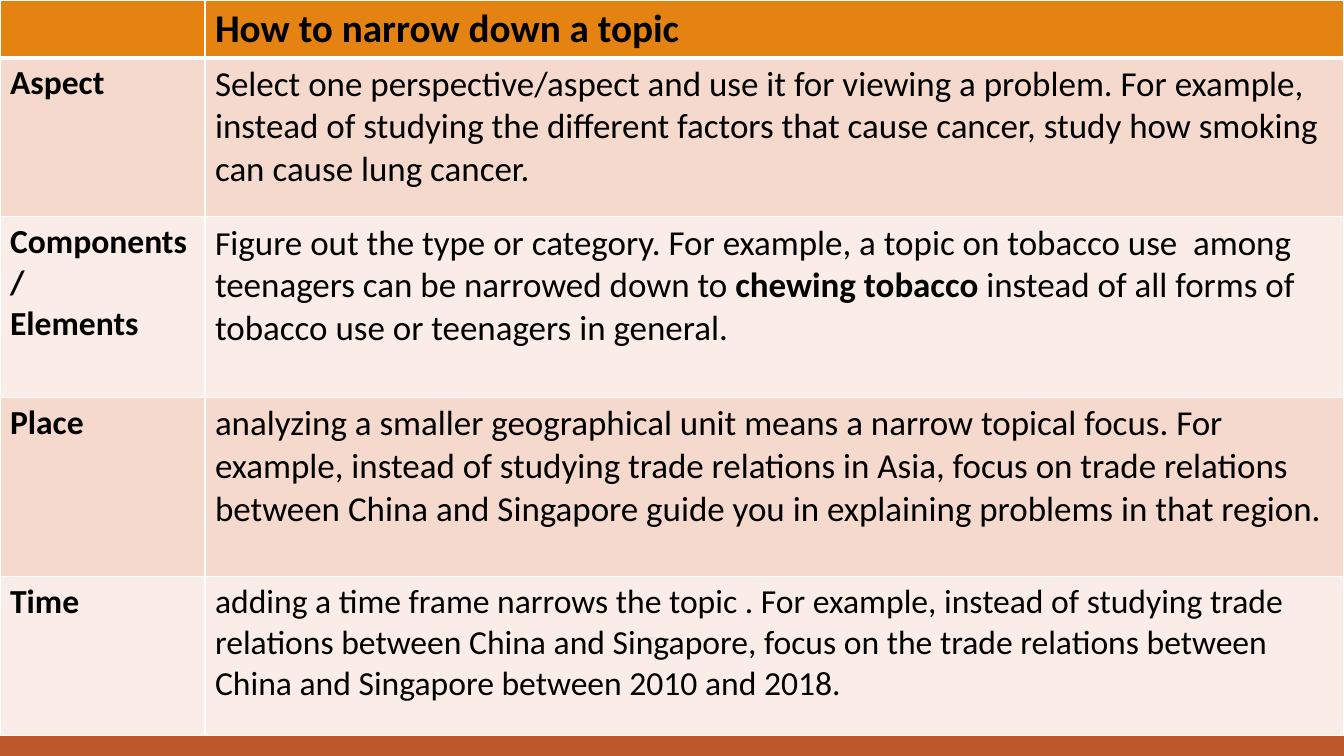
from lxml.etree import SubElement
from pptx import Presentation
from pptx.dml.color import RGBColor
from pptx.enum.shapes import MSO_SHAPE
from pptx.oxml.ns import qn
from pptx.util import Inches, Pt

BLACK = RGBColor(0x00, 0x00, 0x00)
WHITE = RGBColor(0xFF, 0xFF, 0xFF)
ORANGE = RGBColor(0xE4, 0x83, 0x12)
RUST = RGBColor(0xBD, 0x58, 0x2C)
BANDS = [RGBColor(0xF5, 0xD9, 0xCC), RGBColor(0xFA, 0xED, 0xE7)]

COLUMN_PERCENTS = [15.25, 84.75]
ROW_PERCENTS = [7.6, 21, 23.9, 23.7, 21]
HEADER = "How to narrow down a topic"
TOPICS = [
    (["Aspect"], [
        ("Select one perspective/aspect and use it for viewing a problem. "
         "For example, instead of studying the different factors that cause "
         "cancer, study how smoking can cause lung cancer.", 25, False)]),
    (["Components/", "Elements"], [
        ("F", 24, False),
        ("igure out the type or category. For example, a topic on tobacco use  "
         "among teenagers can be narrowed down to ", 25, False),
        ("chewing tobacco ", 25, True),
        ("instead of all forms of tobacco use or teenagers in general.", 25, False)]),
    (["Place"], [
        ("analyzing a smaller geographical unit means a narrow topical focus. "
         "For example, instead of studying trade relations in Asia, focus on "
         "trade relations between China and Singapore guide you in explaining "
         "problems in that region.", 25, False)]),
    (["Time"], [
        ("adding a time frame narrows the topic . For example, instead of "
         "studying trade relations between China and Singapore, focus on the "
         "trade relations between China and Singapore between 2010 and 2018.",
         24, False)]),
]


class SlideBuilder:
    font = "Calibri"

    def __init__(self, prs):
        self.width, self.height = prs.slide_width, prs.slide_height
        self.s = prs.slides.add_slide(prs.slide_layouts[6])

    def x(self, percent):
        return round(self.width * percent / 100)

    def y(self, percent):
        return round(self.height * percent / 100)

    def bar(self, top, height, color):
        sp = self.s.shapes.add_shape(
            MSO_SHAPE.RECTANGLE, 0, self.y(top), self.width, self.y(height))
        sp.shadow.inherit = False
        sp.fill.solid()
        sp.fill.fore_color.rgb = color
        sp.line.fill.background()

    def table(self, columns, rows):
        table = self.s.shapes.add_table(
            len(rows), len(columns), 0, 0,
            self.x(sum(columns)), self.y(sum(rows))).table
        for column, percent in zip(table.columns, columns):
            column.width = self.x(percent)
        for row, percent in zip(table.rows, rows):
            row.height = self.y(percent)
        return table

    def cell(self, cell, paragraphs, fill, bottom=1):
        self.borders(cell, {"L": 1, "R": 1, "T": 1, "B": bottom})
        cell.fill.solid()
        cell.fill.fore_color.rgb = fill
        tf = cell.text_frame
        for i, runs in enumerate(paragraphs):
            p = tf.add_paragraph() if i else tf.paragraphs[0]
            for text, size, bold in runs:
                r = p.add_run()
                r.text = text
                r.font.name = self.font
                r.font.size = Pt(size)
                r.font.bold = bold
                r.font.color.rgb = BLACK

    def borders(self, cell, widths):
        tcPr = cell._tc.get_or_add_tcPr()
        for side, width in widths.items():
            ln = SubElement(tcPr, qn(f"a:ln{side}"), w=str(Pt(width)))
            fill = SubElement(ln, qn("a:solidFill"))
            SubElement(fill, qn("a:srgbClr"), val=str(WHITE))


def main():
    prs = Presentation()
    prs.slide_width, prs.slide_height = Inches(13.33), Inches(7.5)
    slide = SlideBuilder(prs)
    slide.bar(93.33, 6.67, RUST)
    table = slide.table(COLUMN_PERCENTS, ROW_PERCENTS)
    slide.cell(table.cell(0, 0), [], ORANGE, bottom=3)
    slide.cell(table.cell(0, 1), [[(HEADER, 28, True)]], ORANGE, bottom=3)
    for i, (labels, runs) in enumerate(TOPICS):
        fill = BANDS[i % 2]
        names = [[(label, 24, True)] for label in labels]
        slide.cell(table.cell(i + 1, 0), names, fill)
        slide.cell(table.cell(i + 1, 1), [runs], fill)
    prs.save("out.pptx")


if __name__ == "__main__":
    main()
